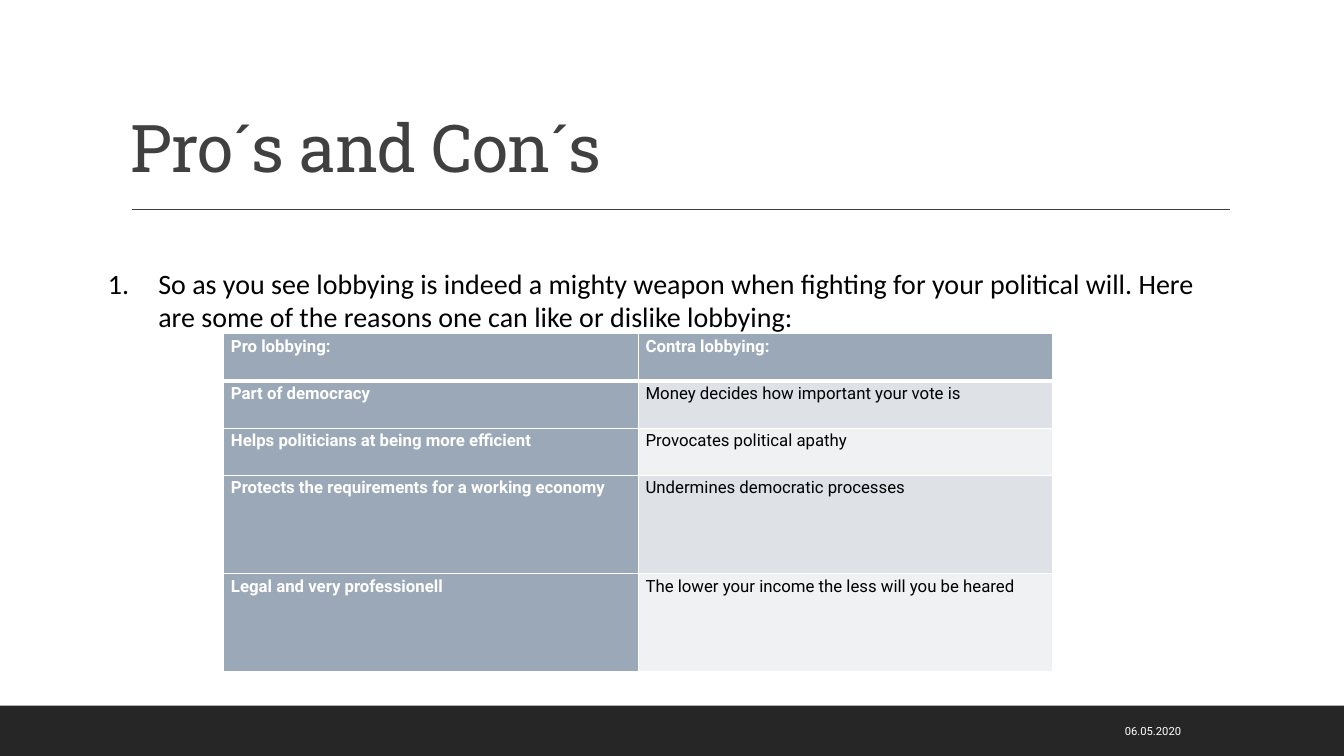
"""Build the slide weighing the pros and cons of lobbying."""
from dataclasses import dataclass

from lxml import etree
from pptx import Presentation
from pptx.dml.color import RGBColor
from pptx.enum import shapes, text
from pptx.oxml import ns
from pptx.util import Cm, Pt

TITLE = "Pro´s and Con´s"
INTRO = ("So as you see lobbying is indeed a mighty weapon when fighting for your "
         "political will. Here are some of the reasons one can like or dislike lobbying:")
DATE = "06.05.2020"
ARGUMENTS = [
    ("Pro lobbying:", "Contra lobbying:"),
    ("Part of democracy", "Money decides how important your vote is"),
    ("Helps politicians at being more efficient", "Provocates political apathy"),
    ("Protects the requirements for a working economy", "Undermines democratic processes"),
    ("Legal and very professionell", "The lower your income the less will you be heared"),
]
ROW_HEIGHTS = [1.19, 1.19, 1.19, 2.47, 2.47]
COLUMN_WIDTH = 10.45


@dataclass(frozen=True)
class Theme:
    """Colours, fonts and type sizes."""
    white: str = "FFFFFF"
    black: str = "000000"
    grey: str = "404040"
    footer: str = "262626"
    slate: str = "9BA8B7"
    bands: tuple = ("EFF1F3", "DEE1E6")
    title_font: str = "Roboto Slab"
    intro_font: str = "Calibri"
    small_font: str = "Roboto"
    title_size: int = 47
    intro_size: int = 20
    cell_size: int = 12
    date_size: int = 8


THEME = Theme()


def style(para, font, size, color, bold=False):
    """Set the font of a paragraph."""
    para.font.name, para.font.size, para.font.bold = font, Pt(size), bold
    para.font.color.rgb = RGBColor.from_string(color)


def add_text(page, words, place, anchor, insets=(0.25, 0.13)):
    """Add a wrapped text box and return its paragraph."""
    frame = page.shapes.add_textbox(*map(Cm, place)).text_frame
    frame.word_wrap = True
    frame.vertical_anchor = anchor
    frame.margin_left = frame.margin_right = Cm(insets[0])
    frame.margin_top = frame.margin_bottom = Cm(insets[1])
    para = frame.paragraphs[0]
    para.add_run().text = words
    return para


def add_footer(page, deck):
    """Add the dark band and its date."""
    top = Cm(17.78)
    band = page.shapes.add_shape(shapes.MSO_SHAPE.RECTANGLE, 0, top,
                                 deck.slide_width, deck.slide_height - top)
    band.shadow.inherit = False
    band.fill.solid()
    band.fill.fore_color.rgb = RGBColor.from_string(THEME.footer)
    band.line.fill.background()
    para = add_text(page, DATE, (22.83, 17.91, 7.19, 1.02), text.MSO_ANCHOR.MIDDLE)
    para.alignment = text.PP_ALIGN.RIGHT
    style(para, THEME.small_font, THEME.date_size, THEME.white)


def add_title(page):
    """Add the title and the rule below it."""
    rule = page.shapes.add_connector(shapes.MSO_CONNECTOR.STRAIGHT,
                                     Cm(3.33), Cm(5.28), Cm(31), Cm(5.28))
    rule.line.color.rgb = RGBColor.from_string(THEME.grey)
    rule.line.width = Pt(1)
    etree.SubElement(rule.element.spPr, ns.qn("a:effectLst"))
    para = add_text(page, TITLE, (3.05, 0.79, 27.94, 4.04), text.MSO_ANCHOR.BOTTOM)
    para.line_spacing = 0.9
    style(para, THEME.title_font, THEME.title_size, THEME.grey)
    para.runs[0].font._element.set("spc", "-50")


def add_intro(page):
    """Add the numbered introduction."""
    para = add_text(page, INTRO, (2.72, 6.58, 27.94, 2), text.MSO_ANCHOR.TOP, (0, 0.13))
    style(para, THEME.intro_font, THEME.intro_size, THEME.black)
    props = para._p.get_or_add_pPr()
    props.set("marL", str(Cm(1.27)))
    props.set("indent", str(-Cm(1.27)))
    number = etree.Element(ns.qn("a:buAutoNum"), type="arabicPeriod")
    props.insert(0, number)


def set_borders(cell, top, bottom):
    """Draw white borders, with top and bottom widths in points."""
    props = cell._tc.get_or_add_tcPr()
    for index, (side, width) in enumerate(zip("LRTB", (1, 1, top, bottom))):
        line = etree.Element(ns.qn(f"a:ln{side}"), w=str(Pt(width)))
        fill = etree.SubElement(line, ns.qn("a:solidFill"))
        etree.SubElement(fill, ns.qn("a:srgbClr"), val=THEME.white)
        props.insert(index, line)


def add_arguments(page):
    """Add the table of arguments."""
    table = page.shapes.add_table(len(ARGUMENTS), 2, Cm(5.64), Cm(8.41),
                                  Cm(2 * COLUMN_WIDTH), Cm(sum(ROW_HEIGHTS))).table
    for column in table.columns:
        column.width = Cm(COLUMN_WIDTH)
    for row, (words, height) in enumerate(zip(ARGUMENTS, ROW_HEIGHTS)):
        table.rows[row].height = Cm(height)
        for column, word in enumerate(words):
            cell = table.cell(row, column)
            heading = row == 0 or column == 0
            cell.text = word
            cell.margin_left = cell.margin_right = Cm(0.18)
            cell.margin_top = cell.margin_bottom = 0
            cell.fill.solid()
            cell.fill.fore_color.rgb = RGBColor.from_string(
                THEME.slate if heading else THEME.bands[row % 2])
            para = cell.text_frame.paragraphs[0]
            para.line_spacing = 1.15
            style(para, THEME.small_font, THEME.cell_size,
                  THEME.white if heading else THEME.black, heading)
            set_borders(cell, 3 if row == 1 else 1, 3 if row == 0 else 1)


def main():
    """Build and save the deck."""
    deck = Presentation()
    deck.slide_width, deck.slide_height = Cm(33.87), Cm(19.05)
    page = deck.slides.add_slide(deck.slide_layouts[6])
    add_footer(page, deck)
    add_title(page)
    add_intro(page)
    add_arguments(page)
    deck.save("out.pptx")


if __name__ == "__main__":
    main()
